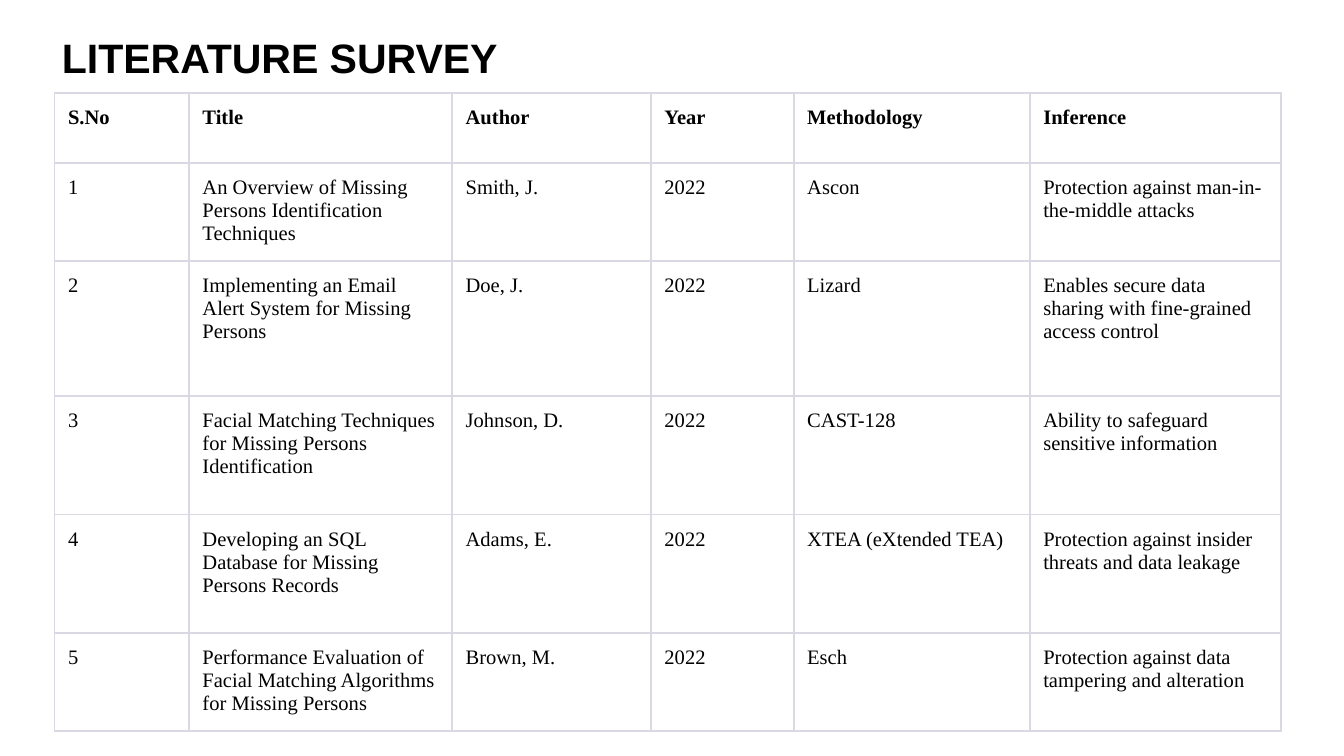
from lxml.etree import SubElement
from pptx import Presentation
from pptx.dml.color import RGBColor
from pptx.enum.text import MSO_ANCHOR as Anchor, PP_ALIGN as Align
from pptx.oxml.ns import qn
from pptx.util import Pt

# Content
TITLE = "LITERATURE SURVEY"
HEADERS = ("S.No", "Title", "Author", "Year", "Methodology", "Inference")
PAPERS = [
    ("An Overview of Missing Persons Identification Techniques", "Smith, J.", "2022",
     "Ascon", "Protection against man-in-the-middle attacks"),
    ("Implementing an Email Alert System for Missing Persons", "Doe, J.", "2022",
     "Lizard", "Enables secure data sharing with fine-grained access control"),
    ("Facial Matching Techniques for Missing Persons Identification", "Johnson, D.", "2022",
     "CAST-128", "Ability to safeguard sensitive information"),
    ("Developing an SQL Database for Missing Persons Records", "Adams, E.", "2022",
     "XTEA (eXtended TEA)", "Protection against insider threats and data leakage"),
    ("Performance Evaluation of Facial Matching Algorithms for Missing Persons", "Brown, M.",
     "2022", "Esch", "Protection against data tampering and alteration"),
]

# Format, lengths in points
COLORS = {"text": "000000", "border": "D9D9E3"}
COLUMN_WIDTHS = (72, 141, 106.5, 76.5, 126.5, 134.5)
ROW_HEIGHTS = (37.5, 52.5, 72.5, 63.5, 63.5, 52.5)
TABLE_LEFT, TABLE_TOP = 29.25, 49.75
INSET = Pt(7.2)
BORDER_WIDTH = Pt(1)
MARGINS = {f"margin_{side}": INSET for side in ("left", "right", "top", "bottom")}
TITLE_FONT = {"name": "Arial", "size": Pt(22), "bold": True}
HEADER_FONT = {"name": "Times New Roman", "size": Pt(11), "bold": True}
BODY_FONT = {**HEADER_FONT, "bold": False}


def apply(target, values):
    for name, value in values.items():
        setattr(target, name, value)


def write(text_frame, text, font):
    paragraph = text_frame.paragraphs[0]
    apply(paragraph, {"alignment": Align.LEFT, "line_spacing": 1.0})
    run = paragraph.add_run()
    run.text = text
    apply(run.font, font)
    run.font.color.rgb = RGBColor.from_string(COLORS["text"])


def add_borders(cell):
    properties = cell._tc.get_or_add_tcPr()
    for position, edge in enumerate(("lnL", "lnR", "lnT", "lnB")):
        line = properties.makeelement(qn(f"a:{edge}"), {"w": str(BORDER_WIDTH)})
        fill = SubElement(line, qn("a:solidFill"))
        SubElement(fill, qn("a:srgbClr"), val=COLORS["border"])
        properties.insert(position, line)


presentation = Presentation()
apply(presentation, {"slide_width": Pt(720), "slide_height": Pt(405)})
slide = presentation.slides.add_slide(presentation.slide_layouts[5])

# Title
title = slide.shapes.title
apply(title, {"left": Pt(26), "top": Pt(9.5), "width": Pt(254), "height": Pt(41.5)})
apply(title.text_frame, {**MARGINS, "word_wrap": True, "vertical_anchor": Anchor.BOTTOM})
write(title.text_frame, TITLE, TITLE_FONT)

# Survey table
rows = [HEADERS] + [(str(number), *paper) for number, paper in enumerate(PAPERS, 1)]
table = slide.shapes.add_table(
    len(rows), len(HEADERS), Pt(TABLE_LEFT), Pt(TABLE_TOP),
    Pt(sum(COLUMN_WIDTHS)), Pt(sum(ROW_HEIGHTS))).table
apply(table, {"first_row": False, "horz_banding": False})
for column, width in zip(table.columns, COLUMN_WIDTHS):
    column.width = Pt(width)
for row_index, (values, height) in enumerate(zip(rows, ROW_HEIGHTS)):
    table.rows[row_index].height = Pt(height)
    for column_index, text in enumerate(values):
        cell = table.cell(row_index, column_index)
        apply(cell, {**MARGINS, "vertical_anchor": Anchor.TOP})
        cell.fill.background()
        add_borders(cell)
        write(cell.text_frame, text, BODY_FONT if row_index else HEADER_FONT)

presentation.save("out.pptx")
